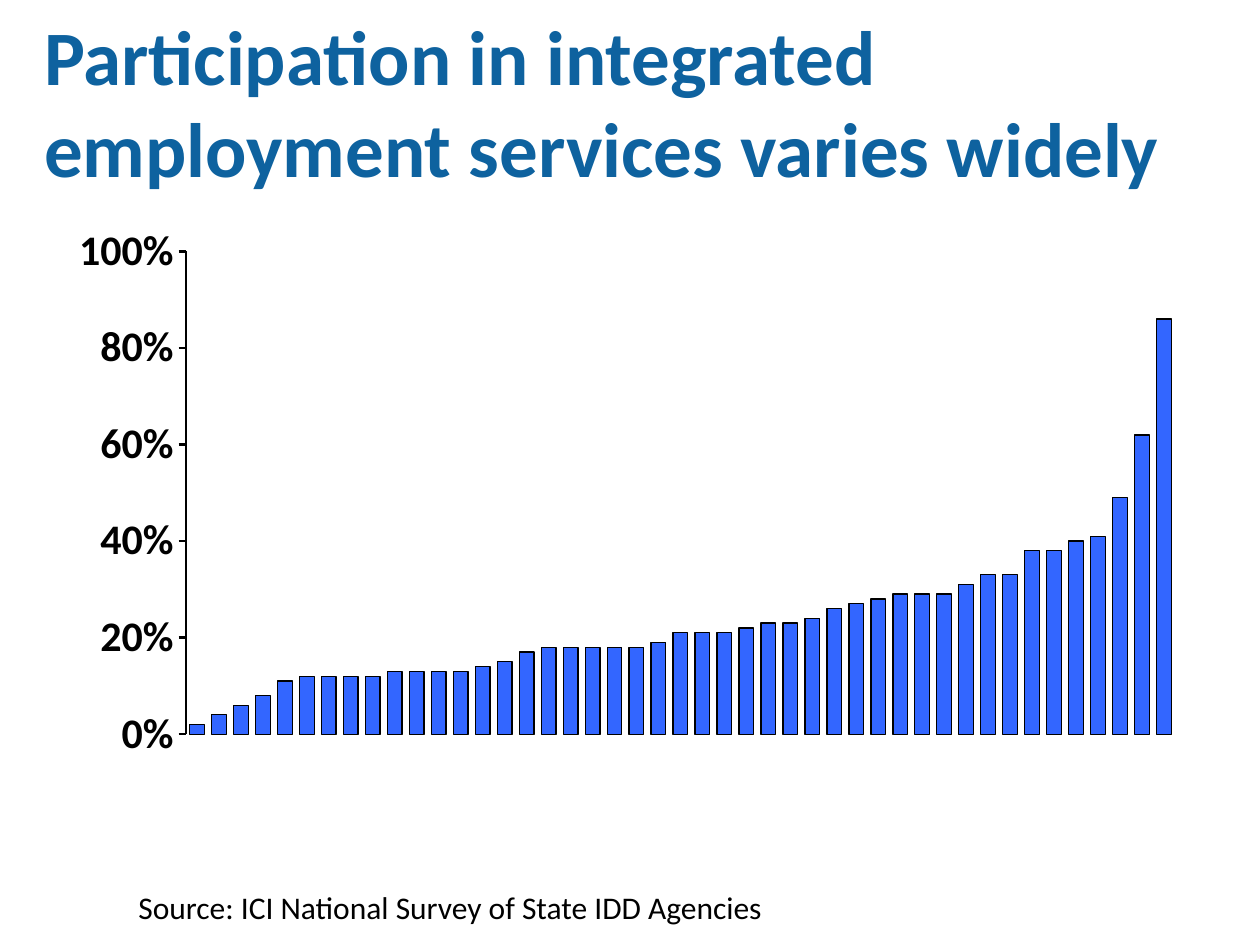
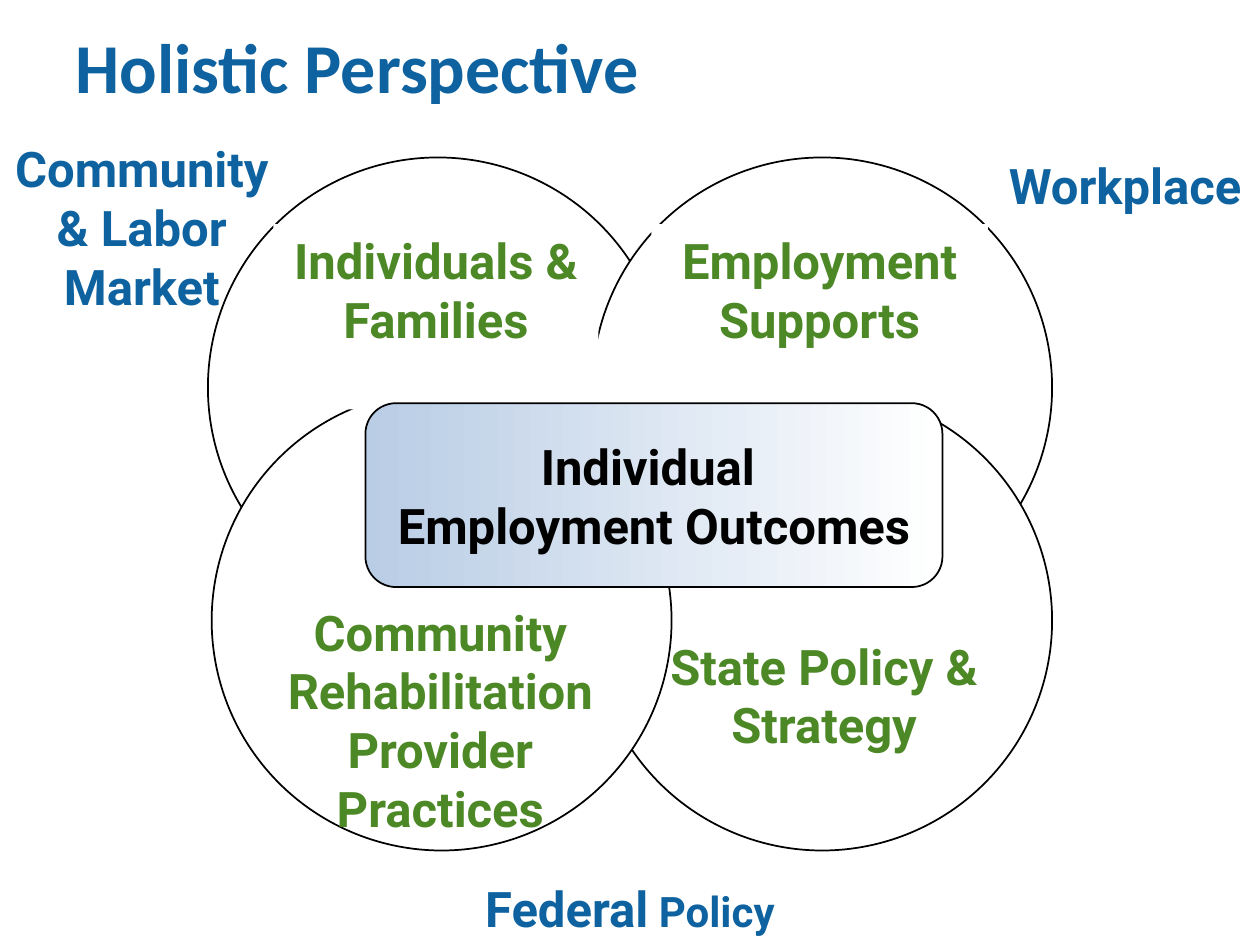
from lxml import etree
from pptx import Presentation
from pptx.chart.data import CategoryChartData
from pptx.dml.color import RGBColor
from pptx.enum.chart import XL_CHART_TYPE, XL_TICK_MARK
from pptx.enum.shapes import MSO_SHAPE
from pptx.enum.text import MSO_ANCHOR, MSO_AUTO_SIZE, PP_ALIGN
from pptx.oxml import parse_xml
from pptx.oxml.ns import nsdecls
from pptx.util import Inches, Pt

HEX = {"blue": "0E629F", "green": "4D8826", "black": "000000",
       "white": "FFFFFF", "bar": "3366FF", "pale": "B9CDE5"}
HEAD, BODY = "Calibri", "Roboto"

# Share of people in integrated employment, one value per state, in percent
SHARES = [2, 4, 6, 8, 11, 12, 12, 12, 12, 13, 13, 13, 13, 14, 15,
          17, 18, 18, 18, 18, 18, 19, 21, 21, 21, 22, 23, 23, 24, 26,
          27, 28, 29, 29, 29, 31, 33, 33, 38, 38, 40, 41, 49, 62, 86]


def color(name):
    return RGBColor.from_string(HEX[name])


def place(*box):
    return [Inches(n) for n in box]


def write(frame, words, size=28, font=BODY, ink="blue", bold=True,
          align=PP_ALIGN.CENTER, anchor=MSO_ANCHOR.TOP, side=0.1):
    """Add words to the first paragraph; a newline is a line break."""
    frame.word_wrap = True
    frame.auto_size = MSO_AUTO_SIZE.NONE
    frame.vertical_anchor = anchor
    frame.margin_left = frame.margin_right = Inches(side)
    frame.margin_top = frame.margin_bottom = Inches(0.05)
    para = frame.paragraphs[0]
    para.alignment = align
    for i, line in enumerate(words.split("\n")):
        if i:
            para.add_line_break()
        run = para.add_run()
        run.text = line
        run.font.size, run.font.name, run.font.bold = Pt(size), font, bold
        run.font.color.rgb = color(ink)


def start(deck, words, box, size):
    """Add a slide with its title."""
    slide = deck.slides.add_slide(deck.slide_layouts[5])
    title = slide.shapes.title
    title.left, title.top, title.width, title.height = place(*box)
    write(title.text_frame, words, size=size, font=HEAD,
          align=PP_ALIGN.LEFT, anchor=MSO_ANCHOR.MIDDLE)
    return slide


def label(slide, words, box, **form):
    frame = slide.shapes.add_textbox(*place(*box)).text_frame
    write(frame, words, **form)
    return frame


def shape(slide, kind, box, fill=None, line=None, words="", **form):
    item = slide.shapes.add_shape(kind, *place(*box))
    item.shadow.inherit = False
    if fill:
        item.fill.solid()
        item.fill.fore_color.rgb = color(fill)
    else:
        item.fill.background()
    if line:
        item.line.color.rgb = color(line)
        item.line.width = Pt(1)
    else:
        item.line.fill.background()
    if words:
        write(item.text_frame, words, **form)
    return item


def fix_plot(chart, *area):
    """Pin the inner plot area to x, y, w, h as parts of the chart."""
    plot = chart.plots[0]._element.getparent()
    for old in plot.findall("{*}layout"):
        plot.remove(old)
    layout = parse_xml(f"<c:layout {nsdecls('c')}><c:manualLayout/></c:layout>")
    pairs = [("layoutTarget", "inner"), ("xMode", "edge"), ("yMode", "edge")]
    for tag, val in pairs + list(zip("xywh", area)):
        node = etree.SubElement(layout[0], f"{{{layout.nsmap['c']}}}{tag}")
        node.set("val", str(val))
    plot.insert(0, layout)


def bars(slide, box):
    data = CategoryChartData(number_format="0%")
    data.categories = [str(i + 1) for i in range(len(SHARES))]
    data.add_series("Series 1", [n / 100 for n in SHARES])
    chart = slide.shapes.add_chart(
        XL_CHART_TYPE.COLUMN_CLUSTERED, *place(*box), data).chart
    chart.has_legend = chart.has_title = False
    chart.font.size, chart.font.name = Pt(18), HEAD
    chart.font.color.rgb = color("black")
    fix_plot(chart, 0.125, 0.057, 0.856, 0.887)

    # Axes
    chart.category_axis.visible = False
    axis = chart.value_axis
    axis.has_major_gridlines = False
    axis.minimum_scale, axis.maximum_scale, axis.major_unit = 0, 1, 0.2
    axis.major_tick_mark = XL_TICK_MARK.OUTSIDE
    axis.format.line.color.rgb = color("black")
    axis.format.line.width = Pt(1.5)
    ticks = axis.tick_labels
    ticks.number_format, ticks.number_format_is_linked = "0%", False
    ticks.font.size, ticks.font.bold, ticks.font.name = Pt(24), True, HEAD
    ticks.font.color.rgb = color("black")

    # Columns
    plot = chart.plots[0]
    plot.gap_width, plot.vary_by_categories = 50, False
    look = plot.series[0].format
    look.fill.solid()
    look.fill.fore_color.rgb = color("bar")
    look.line.color.rgb = color("black")
    look.line.width = Pt(0.75)


def survey(deck):
    slide = start(deck, "Participation in integrated \nemployment services varies widely",
                  (0.25, 0.34, 9.5, 0.92), 44)
    bars(slide, (0.33, 1.75, 9.17, 4.32))
    label(slide, "Source: ICI National Survey of State IDD Agencies",
          (1, 7, 5.67, 0.4), size=18, font=HEAD, ink="black", bold=False,
          align=PP_ALIGN.LEFT)


def holistic(deck):
    slide = start(deck, "Holistic Perspective", (0.5, 0.17, 9, 0.7), 40)
    rect, mid = MSO_SHAPE.RECTANGLE, MSO_ANCHOR.MIDDLE

    # Outer influences
    policy = label(slide, "Federal", (3.43, 6.92, 3.14, 0.39))
    write(policy, " Policy", size=24)
    shape(slide, rect, (0, 0.92, 2.25, 1.76), line="white",
          words="Community & Labor Market", anchor=mid, side=0)
    shape(slide, rect, (7.83, 0.92, 2.2, 1.09), line="white",
          words="Workplace", anchor=mid)

    # Overlapping circles, clockwise from top left
    for x, y in [(1.65, 1.25), (4.7, 1.25), (4.7, 3.1), (1.68, 3.1)]:
        shape(slide, MSO_SHAPE.OVAL, (x, y, 3.65, 3.65), "white", "black")

    # Circle names; the upper two sit on white panels
    for words, box, fill in [
            ("State Policy & Strategy", (5.25, 5, 2.58, 0.93), None),
            ("Community Rehabilitation Provider Practices",
             (2.08, 4.73, 2.83, 1.53), None),
            ("Individuals & Families", (2.17, 1.78, 2.58, 1.47), "white"),
            ("Employment Supports", (5.17, 1.78, 2.67, 1.47), "white")]:
        if fill:
            shape(slide, rect, box, fill, words=words, ink="green", side=0)
        else:
            label(slide, words, box, ink="green", side=0)

    # Shared outcome in the centre
    core = shape(slide, MSO_SHAPE.ROUNDED_RECTANGLE, (2.9, 3.2, 4.58, 1.46),
                 line="black", words="Individual \nEmployment Outcomes",
                 ink="black", anchor=mid)
    core.fill.gradient()
    core.fill.gradient_angle = 0
    for stop, name in zip(core.fill.gradient_stops, ("pale", "white")):
        stop.color.rgb = color(name)


def main():
    deck = Presentation()
    deck.slide_width, deck.slide_height = place(10, 7.5)
    survey(deck)
    holistic(deck)
    deck.save("out.pptx")


if __name__ == "__main__":
    main()
